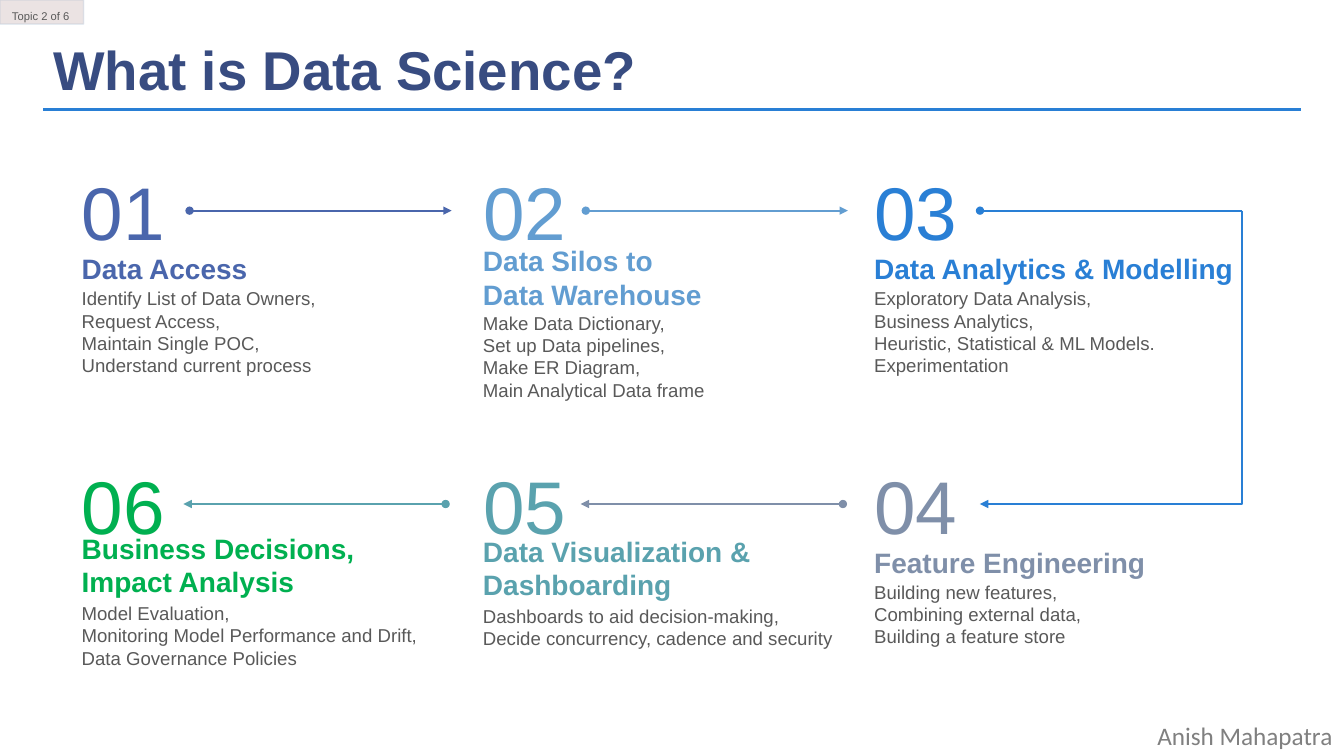
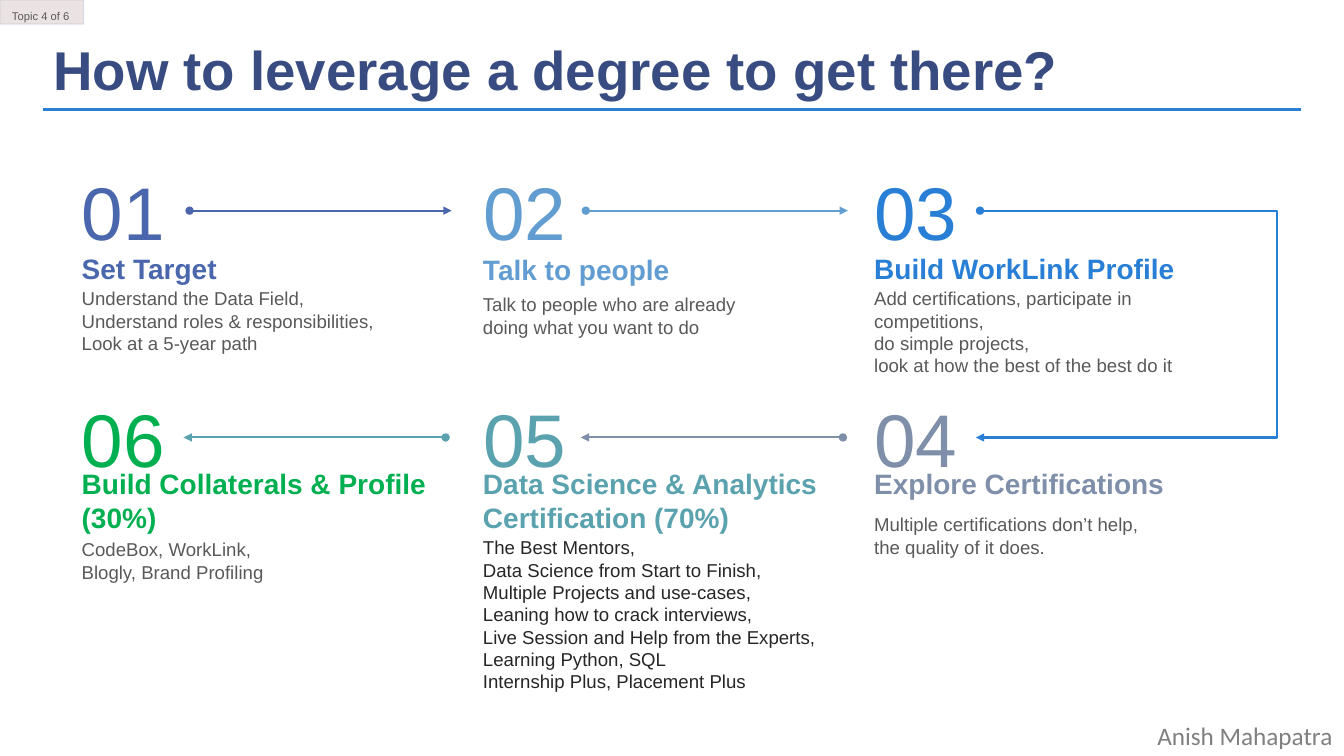
from dataclasses import dataclass

from lxml import etree
from pptx import Presentation
from pptx.dml.color import RGBColor
from pptx.enum.shapes import MSO_CONNECTOR as CONN, MSO_SHAPE as SHAPE
from pptx.enum.text import MSO_ANCHOR as ANCHOR, PP_ALIGN as ALIGN
from pptx.oxml.ns import qn
from pptx.util import Inches, Pt

NAVY = RGBColor(0x38, 0x4C, 0x81)
INDIGO = RGBColor(0x4A, 0x66, 0xAC)
SKY = RGBColor(0x62, 0x9D, 0xD1)
BLUE = RGBColor(0x29, 0x7F, 0xD5)
SLATE = RGBColor(0x7F, 0x8F, 0xA9)
TEAL = RGBColor(0x5A, 0xA2, 0xAE)
GREEN = RGBColor(0x00, 0xB0, 0x50)
TEXT = RGBColor(0x59, 0x59, 0x59)
DARK_TEXT = RGBColor(0x26, 0x26, 0x26)
AUTHOR = RGBColor(0x80, 0x80, 0x80)
BAND_FILL = RGBColor(0x7A, 0x46, 0x46)
BAND_LINE = RGBColor(0x1F, 0x5F, 0xA0)

STEP_COLORS = (INDIGO, SKY, BLUE, SLATE, TEAL, GREEN)
COLUMNS = (0.81, 4.79, 8.67)
COLUMN_WIDTH = 3.75
BODY_WIDTHS = (3.39, 2.97, 3.6, 3.37, 3.63, 3.57)
TOP_ROW = 1.65
ARROW_DROP = 0.44
ARROW_LENGTH = 2.6
RIGHT_ARROWS = (1.88, 5.81, 9.72)
LEFT_ARROWS = (5.76, 1.82)

TITLE = {"size": Pt(39), "bold": True, "name": "Arial"}
NUMBER = {"size": Pt(53.3), "name": "Arial"}
HEADING = {"size": Pt(20), "bold": True, "name": "Arial"}
BODY = {"size": Pt(13.3), "name": "Arial"}
TOPIC = {"size": Pt(8), "name": "Arial"}
FOOTER = {"size": Pt(18), "name": "Calibri"}


@dataclass
class Step:
    """Heading and body tops are measured from the top of the step's row."""
    heading: str
    body: str
    heading_top: float = 0.85
    body_top: float = 1.2
    body_color: RGBColor = TEXT


def write(tf, text, style, color):
    tf.text = text
    for p in tf.paragraphs:
        for key, value in style.items():
            setattr(p.font, key, value)
        p.font.color.rgb = color


def add_text(slide, box, text, style, color, inset=True, wrap=True):
    sp = slide.shapes.add_textbox(*map(Inches, box))
    tf = sp.text_frame
    tf.word_wrap = wrap
    if not inset:
        for side in ("left", "top", "right", "bottom"):
            setattr(tf, f"margin_{side}", 0)
    write(tf, text, style, color)
    return sp


def add_line(slide, start, end, color, width=1.5, head=None, tail=None,
             bend=None):
    """Straight line, or an elbow whose turn lies at the fraction bend."""
    kind = CONN.STRAIGHT if bend is None else CONN.ELBOW
    line = slide.shapes.add_connector(kind, *map(Inches, (*start, *end)))
    line.line.color.rgb = color
    line.line.width = Pt(width)
    ln = line.element.xpath(".//a:ln")[0]
    for tag, arrow in (("a:headEnd", head), ("a:tailEnd", tail)):
        if arrow:
            etree.SubElement(ln, qn(tag), type=arrow)
    etree.SubElement(ln.getparent(), qn("a:effectLst"))
    if bend is not None:
        guides = line.element.xpath(".//a:avLst")[0]
        etree.SubElement(guides, qn("a:gd"), name="adj1",
                         fmla=f"val {round(bend * 100000)}")
    return line


def add_topic_band(slide):
    band = slide.shapes.add_shape(SHAPE.RECTANGLE, 0, 0,
                                  Inches(0.83), Inches(0.24))
    band.shadow.inherit = False
    band.fill.solid()
    band.fill.fore_color.rgb = BAND_FILL
    band.line.color.rgb = BAND_LINE
    band.line.width = Pt(1)
    for color, percent in zip(band.element.xpath(".//a:srgbClr"), (15, 10)):
        etree.SubElement(color, qn("a:alpha"), val=str(percent * 1000))
    return band


def furnish_layout(layout, slide):
    """Draw the shared parts on a slide and move them to its layout."""
    shared = (
        add_line(slide, (12.9, 1.09), (0.43, 1.09), BLUE, width=2.25),
        add_topic_band(slide),
        add_text(slide, (11.38, 7.1, 1.96, 0.4), "Anish Mahapatra",
                 FOOTER, AUTHOR, wrap=False),
    )
    for number, sp in enumerate(shared, 101):
        sp.element.xpath(".//p:cNvPr")[0].set("id", str(number))
        layout.shapes.element.append(sp.element)


def add_title(slide, text):
    title = slide.shapes.title
    title.left, title.top, title.width, title.height = map(
        Inches, (0.43, 0.31, 12.47, 0.77))
    tf = title.text_frame
    tf.vertical_anchor = ANCHOR.TOP
    write(tf, text, TITLE, NAVY)
    tf.paragraphs[0].alignment = ALIGN.LEFT


def add_step(slide, left, top, index, step):
    color = STEP_COLORS[index]
    number = add_text(slide, (left, top, 0.83, 0.82), f"{index + 1:02}",
                      NUMBER, color, inset=False, wrap=False)
    number.text_frame.paragraphs[0].alignment = ALIGN.CENTER
    lines = len(step.heading.split("\n"))
    add_text(slide, (left, top + step.heading_top, COLUMN_WIDTH, 0.34 * lines),
             step.heading, HEADING, color, inset=False)
    lines = len(step.body.split("\n"))
    add_text(slide, (left, top + step.body_top, BODY_WIDTHS[index],
                     0.22 * lines),
             step.body, BODY, step.body_color, inset=False)


def add_arrows(slide, bottom_row, turn_end, bend):
    y1, y2 = TOP_ROW + ARROW_DROP, bottom_row + ARROW_DROP
    for x, color in zip(RIGHT_ARROWS, STEP_COLORS):
        last = x == RIGHT_ARROWS[-1]
        add_line(slide, (x, y1), (x + ARROW_LENGTH, y1), color,
                 head="oval", tail=None if last else "triangle")
    corner = RIGHT_ARROWS[-1] + ARROW_LENGTH
    add_line(slide, (corner, y1), (turn_end, y2), BLUE,
             tail="triangle", bend=bend)
    for x, color in zip(LEFT_ARROWS, STEP_COLORS[3:]):
        add_line(slide, (x + ARROW_LENGTH, y2), (x, y2), color,
                 head="oval", tail="triangle")


def fill_process_slide(slide, title, topic, steps, bottom_row, turn_end, bend):
    """Six steps: left to right on top, then right to left below."""
    add_title(slide, title)
    label = add_text(slide, (0.02, -0.02, 0.81, 0.28), topic, TOPIC, TEXT)
    label.text_frame.paragraphs[0].line_spacing = 1.5
    add_arrows(slide, bottom_row, turn_end, bend)
    for i, step in enumerate(steps):
        column = i if i < 3 else 5 - i
        top = TOP_ROW if i < 3 else bottom_row
        add_step(slide, COLUMNS[column], top, i, step)


DATA_SCIENCE = (
    Step("Data Access",
         "Identify List of Data Owners,\nRequest Access,\n"
         "Maintain Single POC,\nUnderstand current process"),
    Step("Data Silos to\nData Warehouse",
         "Make Data Dictionary,\nSet up Data pipelines,\n"
         "Make ER Diagram,\nMain Analytical Data frame", 0.77, 1.44),
    Step("Data Analytics & Modelling",
         "Exploratory Data Analysis,\nBusiness Analytics,\n"
         "Heuristic, Statistical & ML Models.\nExperimentation"),
    Step("Feature Engineering",
         "Building new features,\nCombining external data,\n"
         "Building a feature store"),
    Step("Data Visualization &\nDashboarding",
         "Dashboards to aid decision-making,\n"
         "Decide concurrency, cadence and security", 0.74, 1.44),
    Step("Business Decisions,\nImpact Analysis",
         "Model Evaluation,\nMonitoring Model Performance and Drift,\n"
         "Data Governance Policies", 0.71, 1.41),
)

DEGREE = (
    Step("Set Target",
         "Understand the Data Field,\nUnderstand roles & responsibilities,\n"
         "Look at a 5-year path"),
    Step("Talk to people",
         "Talk to people who are already doing what you want to do",
         0.86, 1.26),
    Step("Build WorkLink Profile",
         "Add certifications, participate in competitions,\n"
         "do simple projects,\nlook at how the best of the best do it"),
    Step("Explore Certifications",
         "Multiple certifications don’t help,\nthe quality of it does.",
         0.73, 1.19),
    Step("Data Science & Analytics\nCertification (70%)",
         "The Best Mentors,\nData Science from Start to Finish,\n"
         "Multiple Projects and use-cases,\nLeaning how to crack interviews,\n"
         "Live Session and Help from the Experts,\nLearning Python, SQL\n"
         "Internship Plus, Placement Plus", 0.73, 1.42, DARK_TEXT),
    Step("Build Collaterals & Profile\n(30%)",
         "CodeBox, WorkLink,\nBlogly, Brand Profiling", 0.73, 1.44),
)


def main():
    prs = Presentation()
    prs.slide_width, prs.slide_height = Inches(13.33), Inches(7.5)
    layout = prs.slide_layouts[5]
    first, second = (prs.slides.add_slide(layout) for _ in range(2))
    furnish_layout(layout, first)
    fill_process_slide(first, "What is Data Science?", "Topic 2 of 6",
                       DATA_SCIENCE, bottom_row=4.56, turn_end=9.72, bend=0)
    fill_process_slide(second, "How to leverage a degree to get there?",
                       "Topic 4 of 6", DEGREE,
                       bottom_row=3.9, turn_end=9.68, bend=-0.13)
    prs.save("out.pptx")


if __name__ == "__main__":
    main()
